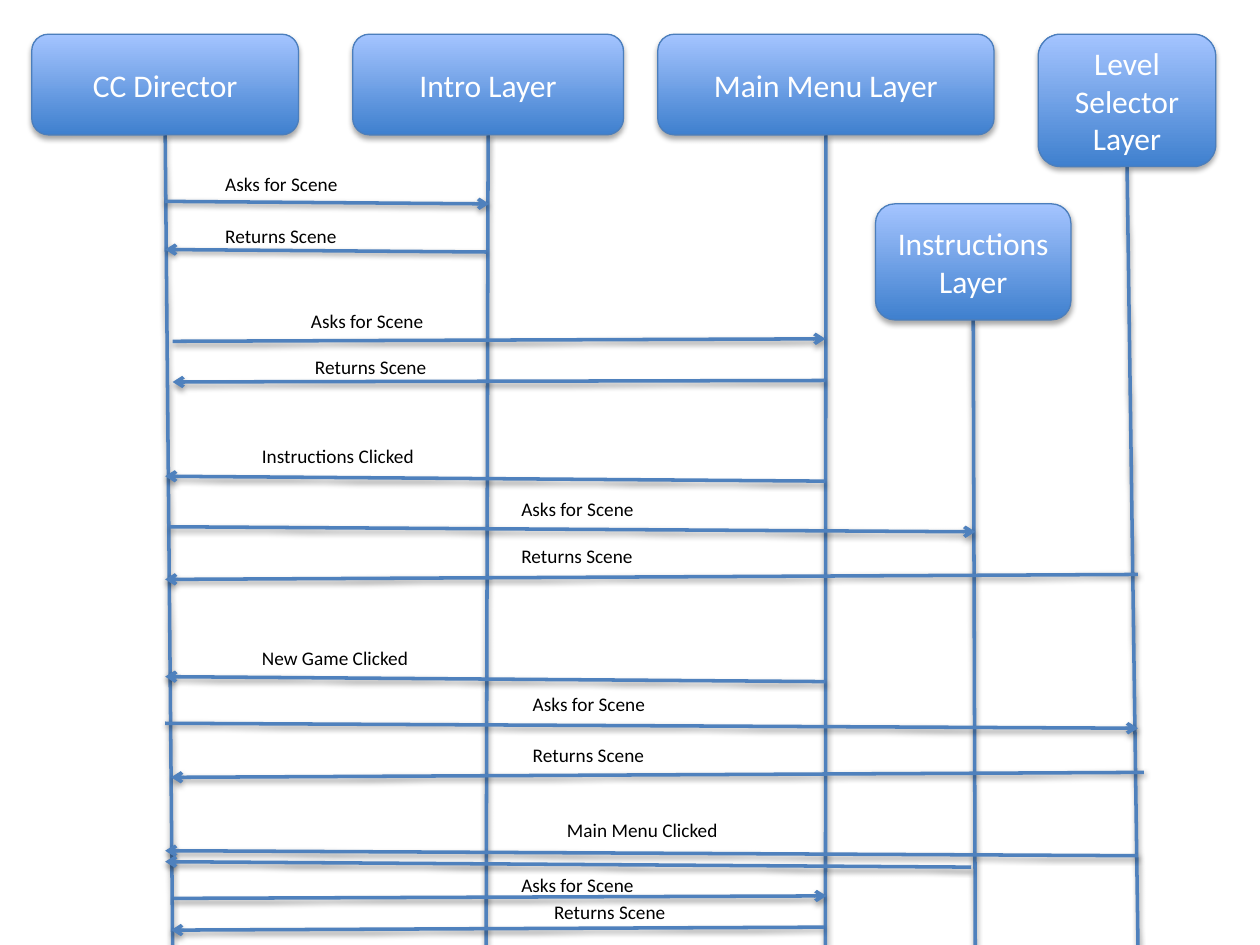
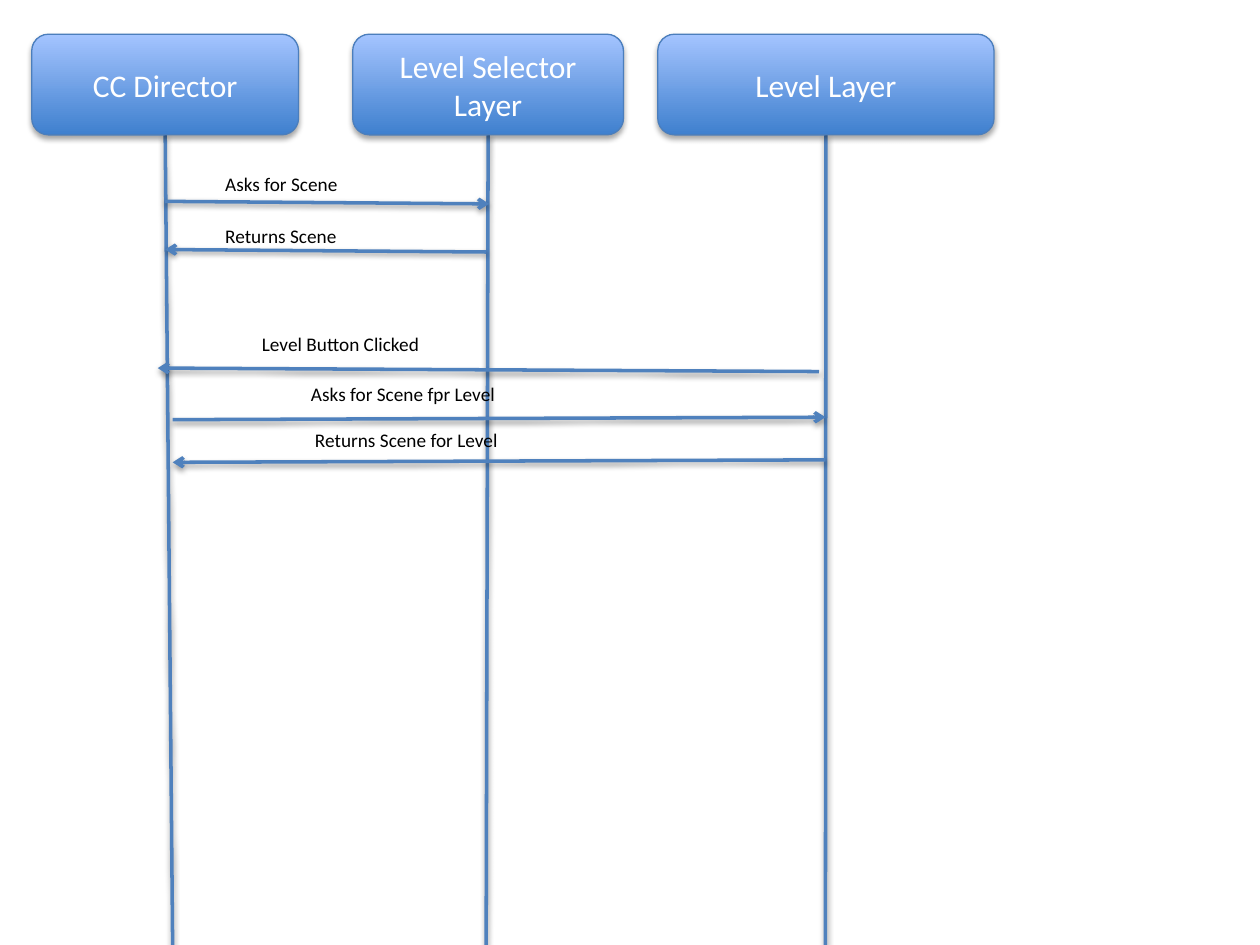
"""Build two sequence diagrams of a game's scene changes."""
from lxml import etree
from pptx import Presentation
from pptx import util as u
from pptx.dml.color import RGBColor
from pptx.enum import shapes, text
from pptx.oxml import ns

COLOURS = {"dark": "3F80CE", "light": "A4C4FF", "edge": "4B7EBC",
           "line": "4F81BD", "shadow": "000000", "label": "000000",
           "box": "FFFFFF"}
FONT = "Calibri"
WIDTH, HEIGHT = 25.4, 19.05
LABEL_HEIGHT = 0.74
BOX_SHADOW = {"dist": 23000, "alpha": 35000}
LINE_SHADOW = {"dist": 20000, "alpha": 38000}

# name: left, top, width, height, foot of the lifeline
SLOTS = {
    "director": (0.64, 0.69, 5.38, 2.03, 3.48),
    "second": (7.11, 0.69, 5.46, 2.03, 9.8),
    "third": (13.26, 0.69, 6.78, 2.03, 16.64),
    "selector": (20.93, 0.69, 3.58, 2.67, 22.94),
    "instructions": (17.65, 4.11, 3.94, 2.34, 19.66),
}

# label, (left, top, width), start, end
FIRST_SCENE = [
    ("Asks for Scene", (4.29, 3.35, 4.17), (3.33, 4.06), (9.86, 4.11)),
    ("Returns Scene", (4.29, 4.39, 4.17), (9.8, 5.08), (3.33, 5.03)),
]

DIAGRAMS = [
    {
        "boxes": {"director": "CC Director", "second": "Intro Layer",
                  "third": "Main Menu Layer",
                  "selector": "Level Selector Layer",
                  "instructions": "Instructions Layer"},
        "messages": FIRST_SCENE + [
            ("Asks for Scene", (6.02, 6.12, 5.26), (3.48, 6.88), (16.64, 6.83)),
            ("Returns Scene", (6.1, 7.04, 4.17), (16.64, 7.67), (3.48, 7.7)),
            ("Instructions Clicked", (5.03, 8.84, 4.17), (16.64, 9.7), (3.33, 9.6)),
            ("Asks for Scene", (10.26, 9.91, 4.98), (3.43, 10.62), (19.66, 10.72)),
            ("Returns Scene", (10.26, 10.85, 4.17), (22.94, 11.58), (3.33, 11.68)),
            ("New Game Clicked", (5.03, 12.9, 4.17), (16.64, 13.74), (3.33, 13.64)),
            ("Asks for Scene", (10.49, 13.84, 4.98), (3.33, 14.58), (22.94, 14.68)),
            ("Returns Scene", (10.49, 14.86, 4.17), (23.06, 15.57), (3.45, 15.67)),
            ("Main Menu Clicked", (11.18, 16.38, 4.17), (22.94, 17.25), (3.33, 17.15)),
            (None, None, (19.58, 17.48), (3.33, 17.37)),
            ("Asks for Scene", (10.26, 17.48, 4.98), (3.51, 18.11), (16.66, 18.06)),
            ("Returns Scene", (10.92, 18.03, 4.17), (16.61, 18.69), (3.45, 18.75)),
        ],
    },
    {
        "boxes": {"director": "CC Director", "second": "Level Selector Layer",
                  "third": "Level Layer"},
        "messages": FIRST_SCENE + [
            ("Level Button Clicked", (5.03, 6.58, 4.17), (16.51, 7.49), (3.18, 7.42)),
            ("Asks for Scene fpr Level", (6.02, 7.59, 5.26), (3.48, 8.46), (16.64, 8.41)),
            ("Returns Scene for Level", (6.1, 8.51, 4.8), (16.64, 9.27), (3.48, 9.32)),
        ],
    },
]


def rgb(name):
    """Return a named colour."""
    return RGBColor.from_string(COLOURS[name])


def cm(*values):
    """Turn plain numbers into lengths."""
    return [u.Cm(v) for v in values]


def add_shadow(sp, dist, alpha):
    """Give a shape or connector a soft shadow below it."""
    pr = sp.element.spPr
    effects = pr.find(ns.qn("a:effectLst"))
    if effects is None:
        effects = etree.SubElement(pr, ns.qn("a:effectLst"))
    outer = etree.SubElement(effects, ns.qn("a:outerShdw"), blurRad="40000",
                             dist=str(dist), dir="5400000", rotWithShape="0")
    colour = etree.SubElement(outer, ns.qn("a:srgbClr"), val=COLOURS["shadow"])
    etree.SubElement(colour, ns.qn("a:alpha"), val=str(alpha))


def write(sp, words, size, colour, align, **frame):
    """Put one formatted run into a shape."""
    tf = sp.text_frame
    for name, value in {"word_wrap": True, **frame}.items():
        setattr(tf, name, value)
    p = tf.paragraphs[0]
    p.alignment = align
    r = p.add_run()
    r.text = words
    for name, value in {"name": FONT, "size": u.Pt(size)}.items():
        setattr(r.font, name, value)
    r.font.color.rgb = rgb(colour)


def add_line(s, start, end, arrow=False):
    """Draw a lifeline or a message arrow."""
    sp = s.shapes.add_connector(shapes.MSO_CONNECTOR.STRAIGHT, *cm(*start, *end))
    sp.line.color.rgb = rgb("line")
    sp.line.width = u.Pt(2)
    if arrow:
        etree.SubElement(sp.line._get_or_add_ln(), ns.qn("a:tailEnd"), type="arrow")
    add_shadow(sp, **LINE_SHADOW)


def add_box(s, words, left, top, width, height, foot):
    """Draw a participant and its lifeline."""
    add_line(s, (left + width / 2, top + height), (foot, HEIGHT))
    sp = s.shapes.add_shape(shapes.MSO_SHAPE.ROUNDED_RECTANGLE,
                            *cm(left, top, width, height))
    sp.fill.gradient()
    sp.fill.gradient_angle = 90
    for stop, name in zip(sp.fill.gradient_stops, ("dark", "light")):
        stop.color.rgb = rgb(name)
    sp.line.color.rgb = rgb("edge")
    sp.line.width = u.Pt(0.75)
    sp.shadow.inherit = False
    add_shadow(sp, **BOX_SHADOW)
    write(sp, words, 18, "box", text.PP_ALIGN.CENTER,
          vertical_anchor=text.MSO_ANCHOR.MIDDLE)


def add_message(s, words, place, start, end):
    """Draw a message arrow with its label, if it has one."""
    add_line(s, start, end, arrow=True)
    if words:
        sp = s.shapes.add_textbox(*cm(*place, LABEL_HEIGHT))
        write(sp, words, 11, "label", text.PP_ALIGN.LEFT,
              auto_size=text.MSO_AUTO_SIZE.SHAPE_TO_FIT_TEXT)


prs = Presentation()
prs.slide_width, prs.slide_height = cm(WIDTH, HEIGHT)
for diagram in DIAGRAMS:
    s = prs.slides.add_slide(prs.slide_layouts[6])
    for slot, words in diagram["boxes"].items():
        add_box(s, words, *SLOTS[slot])
    for message in diagram["messages"]:
        add_message(s, *message)
prs.save("out.pptx")
